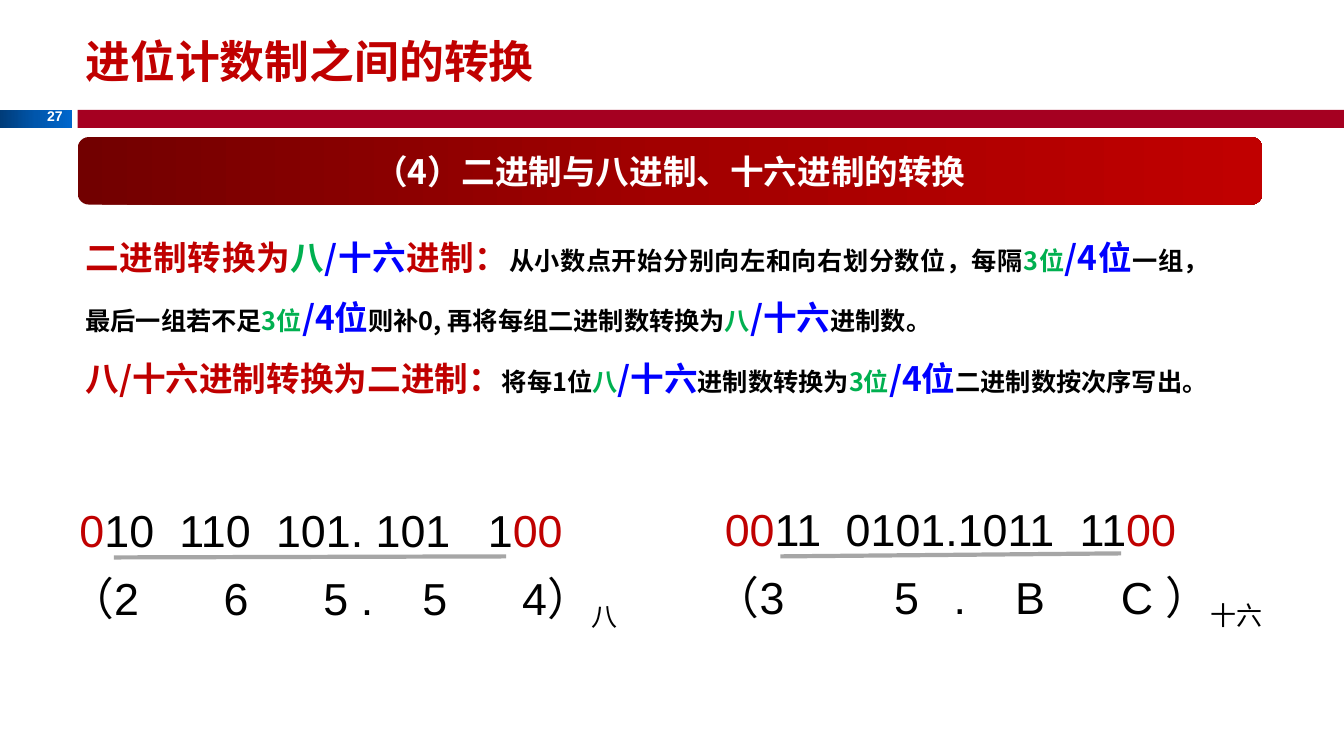
from copy import deepcopy

from lxml import etree
from pptx import Presentation
from pptx.dml.color import RGBColor
from pptx.enum import shapes, text
from pptx.oxml.ns import qn
from pptx.util import Inches, Pt

RED = RGBColor(0xC0, 0x00, 0x00)
GREEN = RGBColor(0x00, 0xB0, 0x50)
BLUE = RGBColor(0x00, 0x00, 0xFF)
BLACK = RGBColor(0x00, 0x00, 0x00)
WHITE = RGBColor(0xFF, 0xFF, 0xFF)
GREY = RGBColor(0xA6, 0xA6, 0xA6)
CRIMSON = RGBColor(0xA5, 0x00, 0x21)
NAVIES = [RGBColor(0x00, 0x3C, 0x79), RGBColor(0x00, 0x56, 0xAC), RGBColor(0x00, 0x66, 0xCC)]
REDS = [RGBColor(0x72, 0x00, 0x00), RGBColor(0xA2, 0x00, 0x00), RED]
CJK = "Noto Sans CJK SC"
LATIN = "Arial"
ALIGN = text.PP_ALIGN

# Parts of the rules that recur: text, size, colour
OCT = ("八", 18, GREEN)
HEX = ("/十六", 24, BLUE)
THREE = ("3位", 18, GREEN)
FOUR = ("/4位", 24, BLUE)

RULES = [
    [("二进制转换为", 24, RED), ("八", 24, GREEN), HEX, ("进制：", 24, RED),
     ("从小数点开始分别向左和向右划分数位，每隔", 18, BLACK), THREE, FOUR,
     ("一组，最后一组若不足", 18, BLACK), THREE, FOUR,
     ("则补0, 再将每组二进制数转换为", 18, BLACK), OCT, HEX, ("进制数。", 18, BLACK)],
    [("八/十六进制转换为二进制：", 24, RED), ("将每1位", 18, BLACK), OCT, HEX,
     ("进制数转换为", 18, BLACK), THREE, FOUR, ("二进制数按次序写出。", 18, BLACK)],
]


def write(para, words, size=32, color=BLACK, font=LATIN, bold=False, base=None):
    run = para.add_run()
    run.text = words
    run.font.size = Pt(size)
    run.font.bold = bold
    run.font.color.rgb = color
    run.font.name = font
    props = run._r.get_or_add_rPr()
    etree.SubElement(props, qn("a:ea")).set("typeface", CJK)
    if base:
        props.set("baseline", str(base * 1000))


def add_box(slide, left, top, width, height, wrap=True):
    box = slide.shapes.add_textbox(Inches(left), Inches(top), Inches(width), Inches(height))
    box.text_frame.word_wrap = wrap
    return box.text_frame


def set_tabs(para, stops):
    tabs = etree.SubElement(para._p.get_or_add_pPr(), qn("a:tabLst"))
    for stop in stops:
        etree.SubElement(tabs, qn("a:tab"), pos=str(Inches(stop)), algn="l")


def add_bar(slide, kind, left, top, width, height, colors):
    """Draw a bar in one colour, or in a left-to-right blend of three."""
    bar = slide.shapes.add_shape(kind, Inches(left), Inches(top), Inches(width), Inches(height))
    bar.shadow.inherit = False
    bar.line.fill.background()
    if len(colors) == 1:
        bar.fill.solid()
        bar.fill.fore_color.rgb = colors[0]
        return bar
    bar.fill.gradient()
    bar.fill.gradient_angle = 0
    first = bar._element.spPr.find(".//" + qn("a:gs"))
    first.addnext(deepcopy(first))
    for stop, color, place in zip(bar.fill.gradient_stops, colors, (0, 0.5, 1)):
        stop.color.rgb = color
        stop.position = place
    return bar


def add_head(slide, left, top):
    kind = shapes.MSO_SHAPE.RECTANGLE
    add_bar(slide, kind, left, top + 1.09, 0.71, 0.18, NAVIES)
    add_bar(slide, kind, left + 0.77, top + 1.09, 12.56, 0.18, [CRIMSON])
    number = add_box(slide, left + 0.35, top + 1.02, 0.37, 0.27, wrap=False).paragraphs[0]
    number.alignment = ALIGN.RIGHT
    write(number, "27", size=10, color=WHITE, bold=True)
    title = add_box(slide, left + 0.75, top + 0.19, 11.79, 0.83)
    title.vertical_anchor = text.MSO_ANCHOR.MIDDLE
    title.paragraphs[0].alignment = ALIGN.JUSTIFY
    write(title.paragraphs[0], "进位计数制之间的转换", color=RED, font=CJK, bold=True)


def add_banner(slide, left, top, width, height):
    kind = shapes.MSO_SHAPE.ROUNDED_RECTANGLE
    frame = add_bar(slide, kind, left, top, width, height, REDS).text_frame
    frame.vertical_anchor = text.MSO_ANCHOR.MIDDLE
    frame.paragraphs[0].alignment = ALIGN.CENTER
    write(frame.paragraphs[0], "（4）二进制与八进制、十六进制的转换",
          size=24, color=WHITE, font=CJK, bold=True)


def add_rules(slide, left, top, width, height):
    frame = add_box(slide, left, top, width, height)
    for index, rule in enumerate(RULES):
        para = frame.add_paragraph() if index else frame.paragraphs[0]
        para.alignment = ALIGN.JUSTIFY
        para.line_spacing = 1.5
        for words, size, color in rule:
            write(para, words, size=size, color=color, font=CJK, bold=True)


def add_sum(slide, left, top, bits, bit_tabs, digits, digit_tabs, radix, line):
    """Place grouped bits, a rule below them, and the converted digits."""
    para = add_box(slide, left + 0.1, top, 5.2, 0.64).paragraphs[0]
    set_tabs(para, bit_tabs)
    for words, color in zip(bits, (RED, BLACK, RED)):
        write(para, words, color=color)

    para = add_box(slide, left, top + 0.67, 5.83, 0.64).paragraphs[0]
    set_tabs(para, digit_tabs)
    write(para, digits)
    write(para, radix, base=-25)

    x1, y1, x2, y2 = line
    rule = slide.shapes.add_connector(
        shapes.MSO_CONNECTOR.STRAIGHT, Inches(left + x1), Inches(top + y1),
        Inches(left + x2), Inches(top + y2))
    rule.line.color.rgb = GREY
    rule.line.width = Pt(3)
    etree.SubElement(rule._element.spPr, qn("a:effectLst"))


def main():
    deck = Presentation()
    deck.slide_width, deck.slide_height = Inches(13.33), Inches(7.5)
    slide = deck.slides.add_slide(deck.slide_layouts[6])
    add_head(slide, 0, 0)
    add_banner(slide, 0.77, 1.36, 11.75, 0.67)
    add_rules(slide, 0.75, 2.1, 11.34, 1.92)
    add_sum(slide, 0.59, 4.94, ("0", "10\t110\t101. 101\t1", "00"), (0.99, 1.95, 4.05),
            "（2\t6\t5 .\t5\t4）", (1.53, 2.52, 3.5, 4.49), "八",
            (0.54, 0.59, 4.43, 0.58))
    add_sum(slide, 6.99, 4.93, ("00", "11\t0101.1011\t11", "00"), (1.2, 3.52),
            "（3\t5\t.\tB\tC ）", (1.78, 2.37, 2.98, 4.03), "十六",
            (0.75, 0.59, 4.13, 0.56))
    deck.save("out.pptx")


if __name__ == "__main__":
    main()
